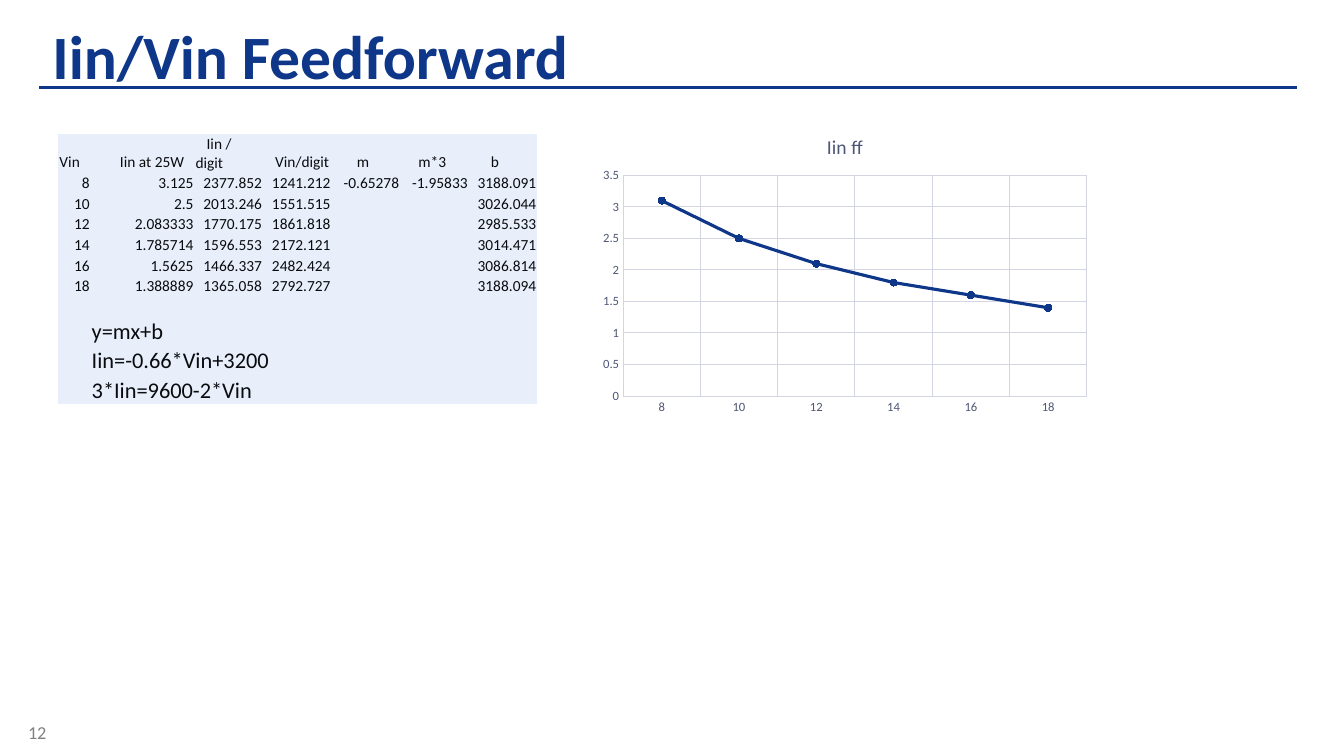
from lxml import etree
from pptx import Presentation
from pptx.chart.data import CategoryChartData
from pptx.dml.color import RGBColor
from pptx.enum.chart import XL_CHART_TYPE, XL_MARKER_STYLE, XL_TICK_MARK
from pptx.enum.shapes import MSO_CONNECTOR
from pptx.enum.text import MSO_ANCHOR, MSO_AUTO_SIZE, PP_ALIGN
from pptx.oxml.ns import qn
from pptx.util import Inches, Pt

LINE_CHART = XL_CHART_TYPE.LINE_MARKERS_STACKED
CIRCLE = XL_MARKER_STYLE.CIRCLE
NO_TICK = XL_TICK_MARK.NONE
STRAIGHT = MSO_CONNECTOR.STRAIGHT
TOP, BOTTOM = MSO_ANCHOR.TOP, MSO_ANCHOR.BOTTOM
LEFT, RIGHT = PP_ALIGN.LEFT, PP_ALIGN.RIGHT
NO_AUTOFIT = MSO_AUTO_SIZE.NONE

FONT = "Calibri"
COLORS = {"navy": "0E3689", "ink": "0A0B0F", "panel": "E8EFFA",
          "axis": "4E5675", "grid": "D3D6E2", "number": "808080"}

SLIDE_WIDTH, SLIDE_HEIGHT = 13.33, 7.5
MARGIN = 0.39
CONTENT_WIDTH = SLIDE_WIDTH - 2 * MARGIN - 0.08

# Column heading and its first-line indent in inches
HEADINGS = [("Vin", 0), ("Iin at 25W", 0.28), ("Iin / digit", 0.11),
            ("Vin/digit", 0.11), ("m", 0.24), ("m*3", 0.17), ("b", 0.21)]
READINGS = [
    ["8", "3.125", "2377.852", "1241.212", "-0.65278", "-1.95833", "3188.091"],
    ["10", "2.5", "2013.246", "1551.515", "", "", "3026.044"],
    ["12", "2.083333", "1770.175", "1861.818", "", "", "2985.533"],
    ["14", "1.785714", "1596.553", "2172.121", "", "", "3014.471"],
    ["16", "1.5625", "1466.337", "2482.424", "", "", "3086.814"],
    ["18", "1.388889", "1365.058", "2792.727", "", "", "3188.094"],
]
# Equation and the number of columns it spans
EQUATIONS = [("y=mx+b", 2), ("Iin=-0.66*Vin+3200", 3), ("3*Iin=9600-2*Vin", 3)]
COLUMN_WIDTHS = [0.32, 1.03] + [0.68] * 5
TABLE_HEIGHT, EQUATION_HEIGHT = 2.51, 0.29
FIRST_EQUATION_ROW = len(READINGS) + 2
READING_HEIGHT = (TABLE_HEIGHT - EQUATION_HEIGHT * len(EQUATIONS)) / FIRST_EQUATION_ROW
ROW_HEIGHTS = ([READING_HEIGHT] * FIRST_EQUATION_ROW
               + [EQUATION_HEIGHT] * len(EQUATIONS))


def color(name):
    return RGBColor.from_string(COLORS[name])


def style_font(font, size, color_name, bold=False):
    font.name, font.size, font.bold = FONT, Pt(size), bold
    font.color.rgb = color(color_name)


def style_line(line, color_name, width):
    line.color.rgb = color(color_name)
    line.width = Pt(width)


def add_run(paragraph, text, size, color_name, bold=False):
    run = paragraph.add_run()
    run.text = text
    style_font(run.font, size, color_name, bold)


def add_title(slide, text):
    title = slide.shapes.title
    title.left, title.top = Inches(MARGIN), Inches(0.11)
    title.width, title.height = Inches(CONTENT_WIDTH), Inches(0.85)
    frame = title.text_frame
    frame.auto_size, frame.vertical_anchor = NO_AUTOFIT, TOP
    frame.margin_left = frame.margin_right = Inches(0.13)
    frame.margin_top = frame.margin_bottom = Inches(0.07)
    frame.paragraphs[0].alignment = LEFT
    add_run(frame.paragraphs[0], text, 44, "navy", bold=True)


def add_rule(slide, top):
    rule = slide.shapes.add_connector(
        STRAIGHT, Inches(MARGIN), Inches(top),
        Inches(MARGIN + CONTENT_WIDTH), Inches(top))
    style_line(rule.line, "navy", 2)
    etree.SubElement(rule._element.spPr, qn("a:effectLst"))


def add_slide_number(slide, text):
    box = slide.shapes.add_textbox(Inches(0.18), Inches(7.11), Inches(0.59), Inches(0.4))
    box.text_frame.word_wrap = True
    add_run(box.text_frame.paragraphs[0], text, 13, "number")


def format_cell(cell):
    """Plain panel fill, no borders, tight margins."""
    cell.margin_left = cell.margin_right = cell.margin_top = Inches(0.01)
    cell.margin_bottom = 0
    cell.vertical_anchor = BOTTOM
    properties = cell._tc.get_or_add_tcPr()
    for side in ("lnL", "lnR", "lnT", "lnB"):
        border = etree.SubElement(properties, qn("a:" + side), w="0")
        etree.SubElement(border, qn("a:noFill"))
    cell.fill.solid()
    cell.fill.fore_color.rgb = color("panel")


def write_cell(cell, text, size=11, alignment=LEFT, indent=0):
    paragraph = cell.text_frame.paragraphs[0]
    paragraph.alignment = alignment
    if indent:
        paragraph._p.get_or_add_pPr().set("indent", str(Inches(indent)))
    add_run(paragraph, text, size, "ink")


def add_readings_table(slide):
    table = slide.shapes.add_table(
        len(ROW_HEIGHTS), len(COLUMN_WIDTHS), Inches(0.58), Inches(1.33),
        Inches(sum(COLUMN_WIDTHS)), Inches(TABLE_HEIGHT)).table
    table.first_row = table.horz_banding = False
    for column, width in zip(table.columns, COLUMN_WIDTHS):
        column.width = Inches(width)
    for row, height in zip(table.rows, ROW_HEIGHTS):
        row.height = Inches(height)
    for cell in table.iter_cells():
        format_cell(cell)

    # Headings and readings
    for column, (heading, indent) in enumerate(HEADINGS):
        write_cell(table.cell(0, column), heading, indent=indent)
    for row, values in enumerate(READINGS, start=1):
        for column, value in enumerate(values):
            if value:
                write_cell(table.cell(row, column), value, alignment=RIGHT)

    # Equations across merged columns
    for row, (equation, span) in enumerate(EQUATIONS, start=FIRST_EQUATION_ROW):
        table.cell(row, 1).merge(table.cell(row, span))
        write_cell(table.cell(row, 1), equation, size=16)

    # Empty cells keep the small text size so that rows stay low
    for cell in table.iter_cells():
        if not cell.text_frame.text:
            etree.SubElement(cell.text_frame.paragraphs[0]._p,
                             qn("a:endParaRPr"), sz="1100")


def style_axis(axis):
    axis.major_tick_mark = axis.minor_tick_mark = NO_TICK
    style_font(axis.tick_labels.font, 9, "axis")
    axis.has_major_gridlines = True
    style_line(axis.major_gridlines.format.line, "grid", 0.75)


def place_plot(chart, **shares):
    """Fix the inner plot area as shares of the chart's size."""
    plot_area = chart._chartSpace.chart.plotArea
    for old_layout in plot_area.findall(qn("c:layout")):
        plot_area.remove(old_layout)
    layout = etree.Element(qn("c:layout"))
    plot_area.insert(0, layout)
    manual = etree.SubElement(layout, qn("c:manualLayout"))
    settings = {"layoutTarget": "inner", "xMode": "edge", "yMode": "edge", **shares}
    for name, value in settings.items():
        etree.SubElement(manual, qn("c:" + name), val=str(value))


def add_current_chart(slide):
    data = CategoryChartData()
    data.categories = [reading[0] for reading in READINGS]
    data.add_series("Series 1", [round(float(reading[1]), 1) for reading in READINGS])
    chart = slide.shapes.add_chart(
        LINE_CHART, Inches(5.88), Inches(1.17), Inches(5), Inches(3), data).chart
    style_font(chart.font, 10, "ink")
    chart.has_legend = False
    chart.has_title = True
    add_run(chart.chart_title.text_frame.paragraphs[0], "Iin ff", 14, "axis")
    chart.chart_title.include_in_layout = False

    style_axis(chart.category_axis)
    style_line(chart.category_axis.format.line, "grid", 0.75)
    style_axis(chart.value_axis)
    chart.value_axis.format.line.fill.background()
    chart.value_axis.minimum_scale, chart.value_axis.maximum_scale = 0, 3.5
    chart.value_axis.major_unit = 0.5

    chart.plots[0].vary_by_categories = False
    series = chart.plots[0].series[0]
    series.smooth = False
    style_line(series.format.line, "navy", 2.25)
    series.marker.style, series.marker.size = CIRCLE, 5
    series.marker.format.fill.solid()
    series.marker.format.fill.fore_color.rgb = color("navy")
    style_line(series.marker.format.line, "navy", 0.75)
    place_plot(chart, x=0.06, y=0.19, w=0.92, h=0.73)


def main():
    presentation = Presentation()
    presentation.slide_width = Inches(SLIDE_WIDTH)
    presentation.slide_height = Inches(SLIDE_HEIGHT)
    slide = presentation.slides.add_slide(presentation.slide_layouts[5])
    add_slide_number(slide, "12")
    add_rule(slide, 0.87)
    add_title(slide, "Iin/Vin Feedforward")
    add_readings_table(slide)
    add_current_chart(slide)
    presentation.save("out.pptx")


if __name__ == "__main__":
    main()
